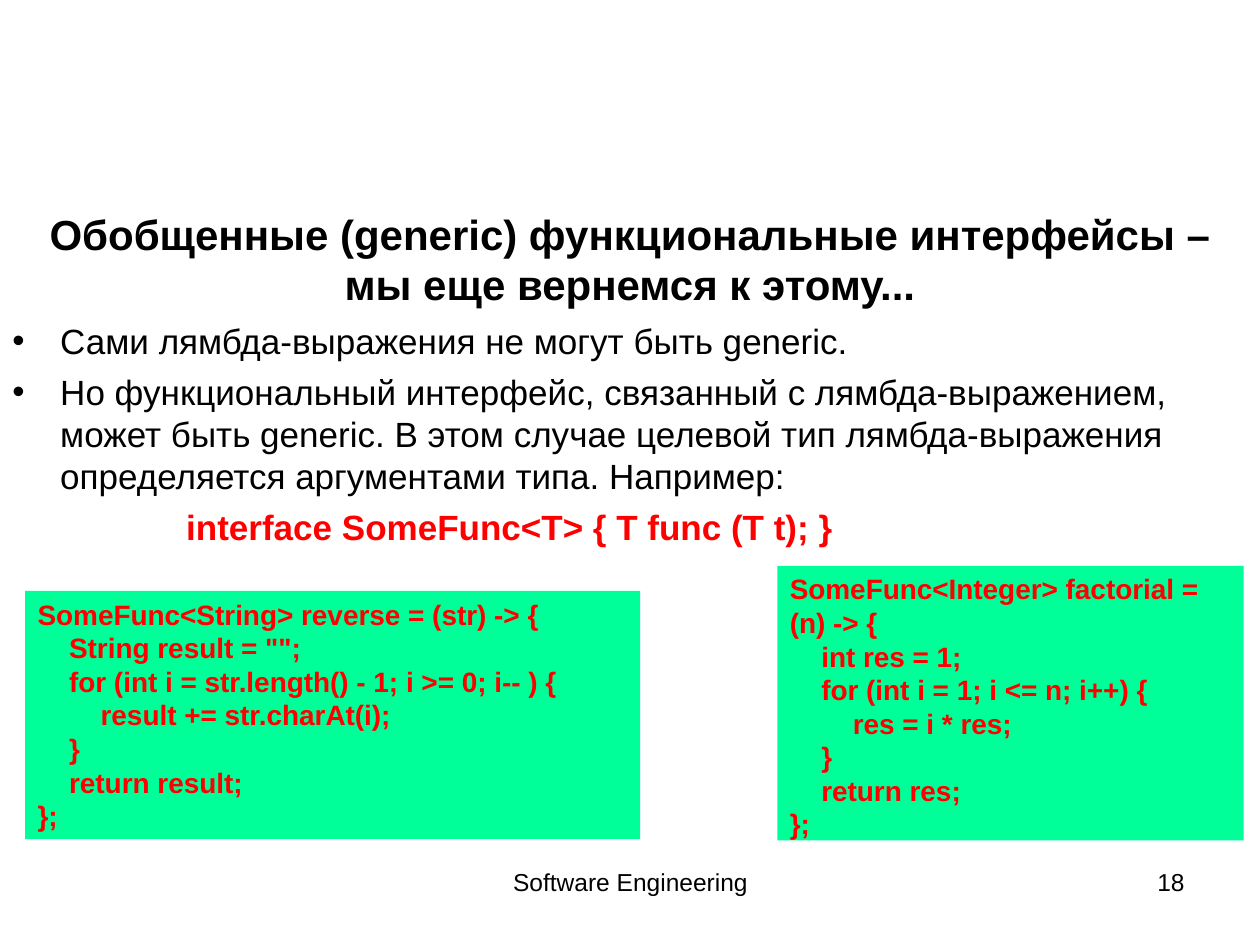
from dataclasses import dataclass
from typing import Optional

from lxml import etree
from pptx import Presentation
from pptx.dml.color import RGBColor
from pptx.enum import shapes, text
from pptx.oxml.ns import qn
from pptx.util import Inches, Pt

HUES = {"ink": "000000", "code": "FF0000", "panel": "00FF99"}
HANG = 0.38
STEP = 0.25


@dataclass
class Line:
    words: str
    size: int = 20
    hue: str = "ink"
    bold: bool = False
    left: float = 0
    space: int = 0
    bullet: bool = False
    align: text.PP_ALIGN = text.PP_ALIGN.LEFT


@dataclass
class Block:
    box: tuple[float, float, float, float]
    lines: list[Line]
    fill: Optional[str] = None
    anchor: text.MSO_ANCHOR = text.MSO_ANCHOR.TOP
    base: float = 0.05


def tint(name: str) -> RGBColor:
    return RGBColor.from_string(HUES[name])


def code(rows: list[tuple[int, str]]) -> list[Line]:
    """Turn (depth, words) pairs into indented code lines."""
    return [Line(words, 16, "code", True, STEP * depth) for depth, words in rows]


def write(par, line: Line) -> None:
    par.alignment = line.align
    par.space_before = Pt(line.space)
    props = par._p.get_or_add_pPr()
    props.set("marL", str(Inches(line.left)))
    props.set("indent", str(Inches(-HANG if line.bullet else 0)))
    if line.bullet:
        etree.SubElement(props, qn("a:buFont"), typeface="Arial")
        etree.SubElement(props, qn("a:buChar"), char="•")
    run = par.add_run()
    run.text = line.words
    look = {"name": "Arial", "size": Pt(line.size), "bold": line.bold}
    for key, value in look.items():
        setattr(run.font, key, value)
    run.font.color.rgb = tint(line.hue)


def draw(slide, block: Block) -> None:
    area = [Inches(n) for n in block.box]
    if block.fill:
        shape = slide.shapes.add_shape(shapes.MSO_SHAPE.RECTANGLE, *area)
        shape.shadow.inherit = False
        shape.fill.solid()
        shape.fill.fore_color.rgb = tint(block.fill)
        shape.line.fill.background()
    else:
        shape = slide.shapes.add_textbox(*area)
    frame = shape.text_frame
    look = {
        "word_wrap": True,
        "vertical_anchor": block.anchor,
        "margin_left": Inches(0.1),
        "margin_right": Inches(0.1),
        "margin_top": Inches(0.05),
        "margin_bottom": Inches(block.base),
    }
    for key, value in look.items():
        setattr(frame, key, value)
    for i, line in enumerate(block.lines):
        write(frame.add_paragraph() if i else frame.paragraphs[0], line)


MID = text.MSO_ANCHOR.MIDDLE
REVERSE = code([
    (0, "SomeFunc<String> reverse = (str) -> {"),
    (1, 'String result = "";'),
    (1, "for (int i = str.length() - 1; i >= 0; i-- ) {"),
    (2, "result += str.charAt(i);"),
    (1, "}"),
    (1, "return result;"),
    (0, "};"),
])
FACTOR = code([
    (0, "SomeFunc<Integer> factorial = (n) -> {"),
    (1, "int res = 1;"),
    (1, "for (int i = 1; i <= n; i++) {"),
    (2, "res = i * res;"),
    (1, "}"),
    (1, "return res;"),
    (0, "};"),
])
POINTS = [
    "Сами лямбда-выражения не могут быть generic.",
    "Но функциональный интерфейс, связанный с лямбда-выражением, может быть "
    "generic. В этом случае целевой тип лямбда-выражения определяется "
    "аргументами типа. Например:",
]
TITLE = ("Обобщенные (generic) функциональные интерфейсы – "
         "мы еще вернемся к этому...")
BODY = [Line(words, left=HANG, space=5, bullet=True) for words in POINTS]
BODY.append(Line("interface SomeFunc<T> { T func (T t); }", hue="code",
                 bold=True, left=1 + HANG, space=5))

BLOCKS = [
    Block((3.42, 6.83, 3.17, 0.52),
          [Line("Software Engineering", 14, align=text.PP_ALIGN.CENTER)]),
    Block((7.17, 6.83, 2.33, 0.52),
          [Line("18", 14, align=text.PP_ALIGN.RIGHT)]),
    Block((0.12, 1.62, 9.76, 0.87),
          [Line(TITLE, 24, bold=True, align=text.PP_ALIGN.CENTER)], anchor=MID),
    Block((0, 2.49, 10, 1.9), BODY),
    Block((0.2, 4.69, 4.88, 1.97), REVERSE, "panel"),
    Block((6.17, 4.49, 3.7, 2.18), FACTOR, "panel", MID, 0),
]


def main() -> None:
    deck = Presentation()
    deck.slide_width, deck.slide_height = Inches(10), Inches(7.5)
    slide = deck.slides.add_slide(deck.slide_layouts[6])
    for block in BLOCKS:
        draw(slide, block)
    deck.save("out.pptx")


if __name__ == "__main__":
    main()
